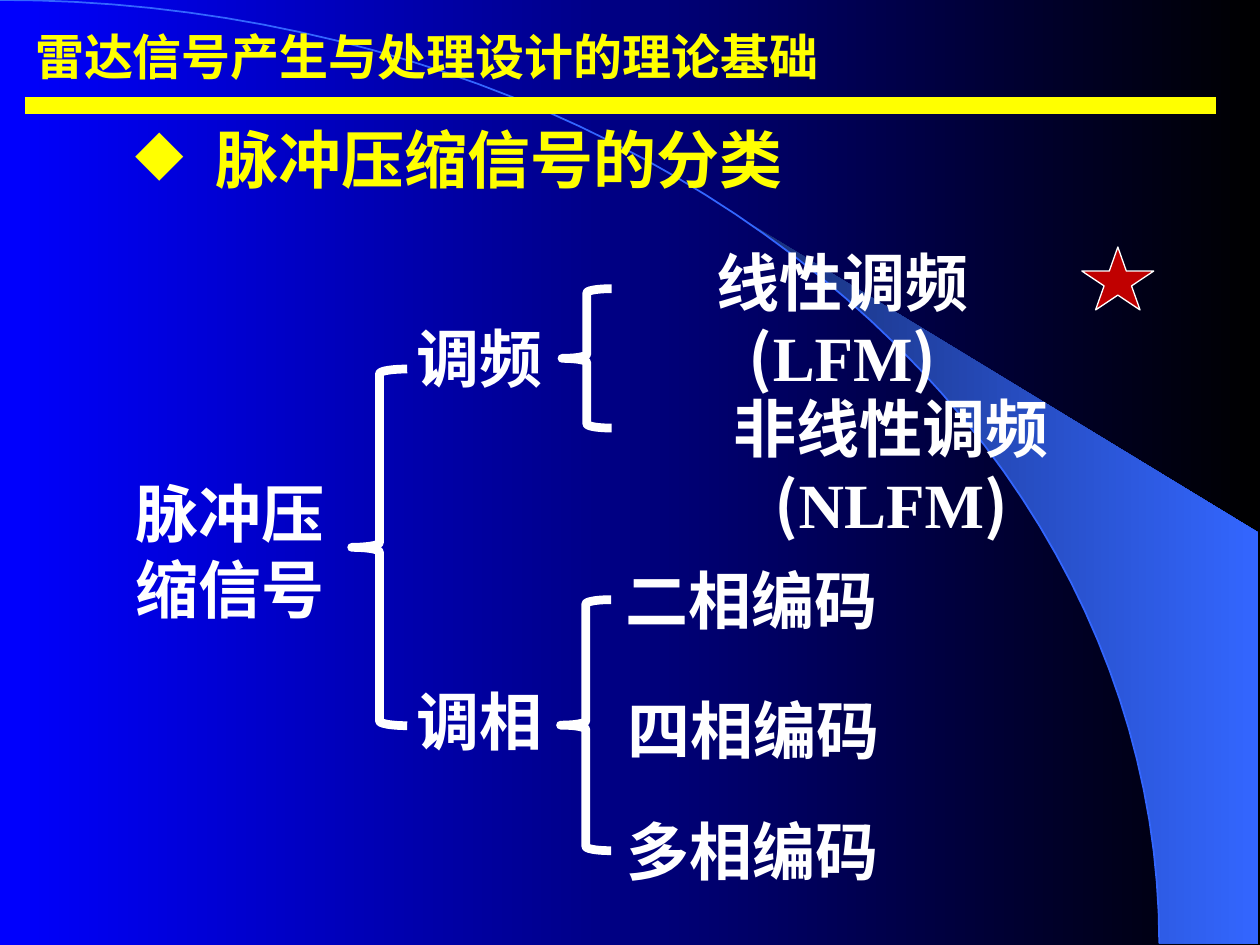
from math import cos, radians, sin

from pptx import Presentation
from pptx.dml.color import RGBColor
from pptx.enum.shapes import MSO_CONNECTOR, MSO_SHAPE
from pptx.enum.text import MSO_AUTO_SIZE, PP_ALIGN
from pptx.oxml.ns import qn
from pptx.util import Cm, Pt
from lxml import etree

STRAIGHT = MSO_CONNECTOR.STRAIGHT
LEFT_BRACE = MSO_SHAPE.LEFT_BRACE
STAR = MSO_SHAPE.STAR_5_POINT
GROW = MSO_AUTO_SIZE.SHAPE_TO_FIT_TEXT
LEFT, CENTER = PP_ALIGN.LEFT, PP_ALIGN.CENTER

BLUE = RGBColor(0x00, 0x00, 0xFF)
BLACK = RGBColor(0x00, 0x00, 0x00)
NAVY = RGBColor(0x18, 0x2F, 0x76)
SKY = RGBColor(0x33, 0x66, 0xFF)
YELLOW = RGBColor(0xFF, 0xFF, 0x00)
WHITE = RGBColor(0xFF, 0xFF, 0xFF)
RED = RGBColor(0xC0, 0x00, 0x00)

HAN_FONT = "Noto Sans CJK SC"
TITLE_FONT = "Noto Sans CJK JP"
LATIN_FONT = "Times New Roman"
LINE_HEIGHT = 1.78


def fill_gradient(fill, start, end):
    """Fill with a left-to-right gradient."""
    fill.gradient()
    fill.gradient_angle = 0
    for stop, color in zip(fill.gradient_stops, (start, end)):
        stop.color.rgb = color


def add_text(slide, box, paragraphs, size=36, color=WHITE, align=CENTER, font=HAN_FONT):
    """Add bold paragraphs, each a list of strings alternating Han and Latin fonts."""
    label = slide.shapes.add_textbox(*map(Cm, box))
    frame = label.text_frame
    frame.word_wrap = True
    frame.auto_size = GROW
    for row, parts in enumerate(paragraphs):
        paragraph = frame.add_paragraph() if row else frame.paragraphs[0]
        paragraph.alignment = align
        for position, part in enumerate(parts):
            run = paragraph.add_run()
            run.text = part
            run.font.size, run.font.bold = Pt(size), True
            run.font.color.rgb = color
            run.font.name = LATIN_FONT if position % 2 else font
            east_asian = etree.SubElement(run.font._element, qn("a:ea"))
            east_asian.set("typeface", font)
    return frame


def add_brace(slide, box):
    """Add a white left brace."""
    brace = slide.shapes.add_shape(LEFT_BRACE, *map(Cm, box))
    brace.shadow.inherit = False
    brace.fill.background()
    brace.line.color.rgb = WHITE
    brace.line.width = Pt(5)


def add_backdrop(slide, width, height):
    """Draw the gradient background with its elliptical arc and light beam."""
    fill_gradient(slide.background.fill, BLUE, BLACK)
    radius_x, radius_y = 23.37, height - 0.03

    def arc_points(start):
        angles = [radians(start + (90 - start) * step / 48) for step in range(49)]
        return [(Cm(radius_x * sin(a)), Cm(radius_y * (1 - cos(a)))) for a in angles]

    beam_edge = arc_points(39.8)
    right = Cm(width - 0.03)
    beam_outline = beam_edge + [(right, Cm(radius_y)), (right, Cm(10.74))]
    builder = slide.shapes.build_freeform(*beam_outline[0])
    builder.add_line_segments(beam_outline[1:], close=True)
    beam = builder.convert_to_shape()
    beam.shadow.inherit = False
    fill_gradient(beam.fill, NAVY, SKY)
    beam.line.fill.background()

    edge = arc_points(0)
    builder = slide.shapes.build_freeform(*edge[0])
    builder.add_line_segments(edge[1:], close=False)
    arc = builder.convert_to_shape()
    arc.shadow.inherit = False
    arc.fill.background()
    arc.line.color.rgb = SKY
    arc.line.width = Pt(1)


def add_header(slide, left, top, width):
    """Place the lecture title, its rule and the bulleted topic."""
    add_text(slide, (left, top, width, 1.45), [["雷达信号产生与处理设计的理论基础"]],
             28, YELLOW, LEFT, TITLE_FONT)
    rule_y = Cm(top + 1.72)
    rule = slide.shapes.add_connector(STRAIGHT, Cm(left + 0.05), rule_y, Cm(left + width), rule_y)
    rule.line.color.rgb = YELLOW
    rule.line.width = Pt(10)
    etree.SubElement(rule._element.spPr, qn("a:effectLst"))

    topic = add_text(slide, (left + 2.03, top + 1.9, 20.17, LINE_HEIGHT),
                     [["脉冲压缩信号的分类"]], color=YELLOW, align=LEFT)
    properties = topic.paragraphs[0]._p.get_or_add_pPr()
    properties.set("marL", str(Cm(1.6)))
    properties.set("indent", str(-Cm(1.6)))
    bullet_color = etree.SubElement(properties, qn("a:buClr"))
    etree.SubElement(bullet_color, qn("a:srgbClr")).set("val", str(YELLOW))
    etree.SubElement(properties, qn("a:buChar")).set("char", "◆")


def add_root(slide, left, top):
    """Place the root term, its brace and the two modulation branches."""
    add_text(slide, (left, top + 3.12, 4.4, 3.3), [["脉冲压"], ["缩信号"]], align=LEFT)
    add_brace(slide, (left + 4.6, top + 1.12, 1.12, 7.19))
    for branch, offset in (("调频", 0), ("调相", 7.31)):
        add_text(slide, (left + 5.38, top + offset, 3.6, LINE_HEIGHT), [[branch]])


def add_frequency_kinds(slide, left, top):
    """Place the frequency modulation kinds, with a star on the first."""
    add_brace(slide, (left, top + 1.04, 1, 2.81))
    add_text(slide, (left + 1.06, top, 9.2, 3.3), [["线性调频(", "LFM", ")"]])
    add_text(slide, (left + 0.94, top + 2.95, 11.4, 3.3), [["非线性调频(", "NLFM", ")"]])
    star = slide.shapes.add_shape(STAR, *map(Cm, (left + 10.48, top + 0.2, 1.45, 1.27)))
    star.shadow.inherit = False
    star.fill.solid()
    star.fill.fore_color.rgb = RED
    star.line.color.rgb = WHITE
    star.line.width = Pt(0.75)


def add_phase_kinds(slide, left, top):
    """Place the phase coding kinds."""
    add_brace(slide, (left, top + 0.89, 1.02, 5.06))
    for kind, shift, offset in (("二相编码", 0, 0), ("四相编码", 0.05, 2.62), ("多相编码", 0.02, 5.05)):
        add_text(slide, (left + 0.96 + shift, top + offset, 5.77, LINE_HEIGHT), [[kind]])


def main():
    """Build and save the slide."""
    deck = Presentation()
    deck.slide_width, deck.slide_height = Cm(25.4), Cm(19.05)
    slide = deck.slides.add_slide(deck.slide_layouts[6])
    add_backdrop(slide, 25.4, 19.05)
    add_header(slide, 0.46, 0.41, 24.05)
    add_root(slide, 2.49, 6.32)
    add_frequency_kinds(slide, 11.33, 4.78)
    add_phase_kinds(slide, 11.3, 11.2)
    deck.save("out.pptx")


if __name__ == "__main__":
    main()
